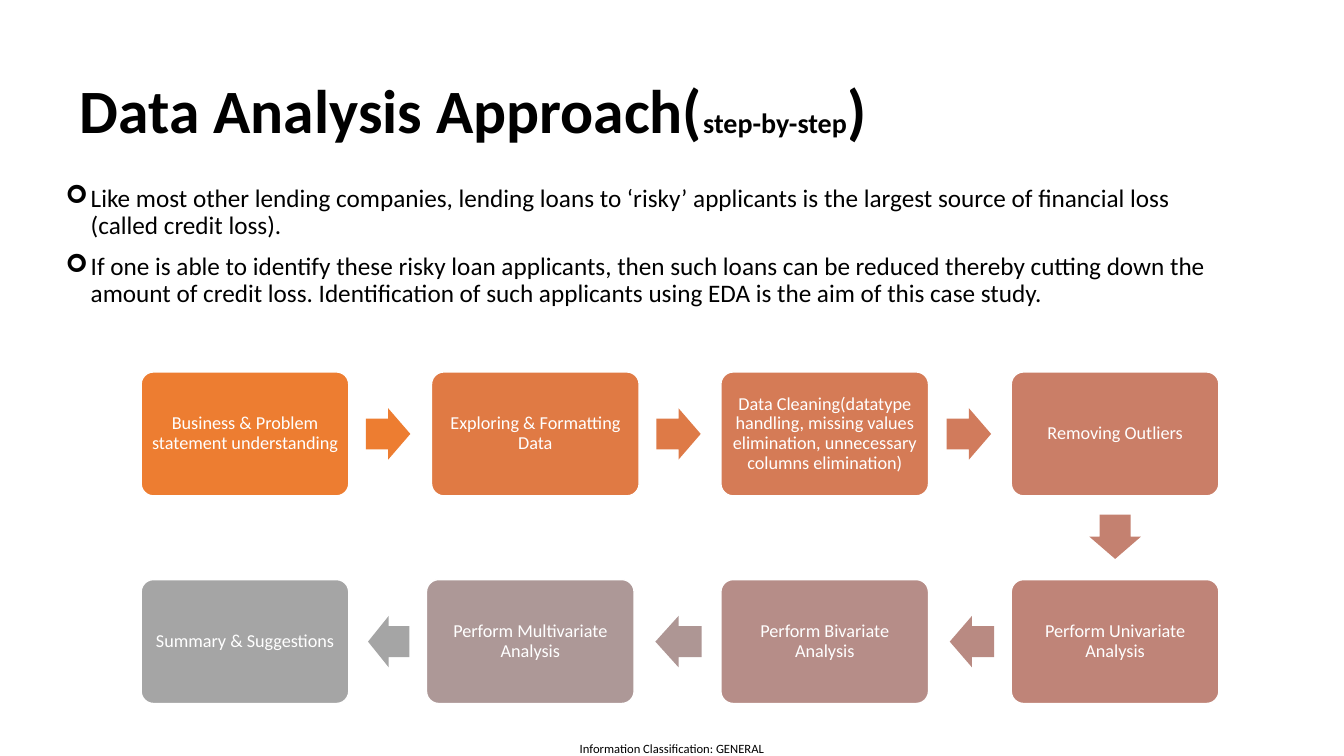
from lxml import etree
from pptx import Presentation
from pptx.dml.color import RGBColor
from pptx.enum.shapes import MSO_SHAPE
from pptx.enum.text import MSO_ANCHOR, MSO_AUTO_SIZE, PP_ALIGN
from pptx.oxml.ns import qn
from pptx.util import Inches, Pt

ROUND = MSO_SHAPE.ROUNDED_RECTANGLE
ARROW = MSO_SHAPE.RIGHT_ARROW
MIDDLE = MSO_ANCHOR.MIDDLE
TOP = MSO_ANCHOR.TOP
LEFT = PP_ALIGN.LEFT
CENTER = PP_ALIGN.CENTER
FIXED = MSO_AUTO_SIZE.NONE
FONT = "Calibri"
COLORS = {"text": "000000", "white": "FFFFFF"}


def style(para, size, color, align):
    para.alignment = align
    para.font.name = FONT
    para.font.size = Pt(size)
    para.font.color.rgb = RGBColor.from_string(color)


def add_block(kind, left, top, width, height, color, adjust):
    block = slide.shapes.add_shape(
        kind, Inches(left), Inches(top), Inches(width), Inches(height))
    block.shadow.inherit = False
    block.fill.solid()
    block.fill.fore_color.rgb = RGBColor.from_string(color)
    for i, value in enumerate(adjust):
        block.adjustments[i] = value
    return block


prs = Presentation()
prs.slide_width = Inches(13.33)
prs.slide_height = Inches(7.5)
slide = prs.slides.add_slide(prs.slide_layouts[1])

title = slide.shapes.title
title.left, title.top = Inches(0.69), Inches(0.4)
title.width, title.height = Inches(11.73), Inches(1.45)
frame = title.text_frame
frame.auto_size = FIXED
frame.vertical_anchor = MIDDLE
para = frame.paragraphs[0]
para.line_spacing = 0.9
style(para, 44, COLORS["text"], LEFT)
para.font.bold = True
for text, size in [("Data Analysis Approach(", 44), ("step-by-step", 20), (")", 44)]:
    run = para.add_run()
    run.text = text
    run.font.size = Pt(size)

points = [
    "Like most other lending companies, lending loans to ‘risky’ applicants is the "
    "largest source of financial loss (called credit loss).",
    "If one is able to identify these risky loan applicants, then such loans can be "
    "reduced thereby cutting down the amount of credit loss. Identification of such "
    "applicants using EDA is the aim of this case study.",
]
body = slide.placeholders[1]
body.left, body.top = Inches(0.55), Inches(1.79)
body.width, body.height = Inches(11.86), Inches(5.31)
frame = body.text_frame
frame.auto_size = FIXED
frame.vertical_anchor = TOP
frame.text = "\n".join(points)
for para in frame.paragraphs:
    props = para._p.get_or_add_pPr()
    props.set("marL", str(Inches(0.25)))
    props.set("indent", str(-Inches(0.25)))
    etree.SubElement(props, qn("a:buFont")).set("typeface", "Wingdings")
    etree.SubElement(props, qn("a:buChar")).set("char", "➢")
    para.line_spacing = 0.9
    para.space_before = Pt(10)
    style(para, 18, COLORS["text"], LEFT)

UPPER, LOWER = 3.69, 5.75
steps = [
    ("Business & Problem statement understanding", 1.4, UPPER, "ED7D31"),
    ("Exploring & Formatting Data", 4.28, UPPER, "E07A44"),
    ("Data Cleaning(datatype handling, missing values elimination, "
     "unnecessary columns elimination)", 7.15, UPPER, "D57B56"),
    ("Removing Outliers", 10.03, UPPER, "CA7E67"),
    ("Perform Univariate Analysis", 10.03, LOWER, "BF8478"),
    ("Perform Bivariate Analysis", 7.15, LOWER, "B68D88"),
    ("Perform Multivariate Analysis", 4.23, LOWER, "AD9897"),
    ("Summary & Suggestions", 1.4, LOWER, "A5A5A5"),
]
for text, left, top, color in steps:
    box = add_block(ROUND, left, top, 2.06, 1.23, color, [0.1])
    box.line.color.rgb = RGBColor.from_string(COLORS["white"])
    box.line.width = Pt(1)
    frame = box.text_frame
    frame.word_wrap = True
    frame.vertical_anchor = MIDDLE
    frame.margin_left = frame.margin_right = Inches(0.07)
    frame.margin_top = frame.margin_bottom = Inches(0.07)
    frame.text = text
    para = frame.paragraphs[0]
    para.line_spacing = 0.9
    style(para, 13, COLORS["white"], CENTER)

arrows = [
    (3.63, 4.05, 0.44, 0, "ED7D31"),
    (6.51, 4.05, 0.44, 0, "DE7A47"),
    (9.39, 4.05, 0.44, 0, "D17B5C"),
    (10.84, 5.07, 0.44, 90, "C48170"),
    (9.42, 6.11, 0.44, 180, "B98A82"),
    (6.5, 6.11, 0.46, 180, "AE9694"),
    (3.65, 6.11, 0.41, 180, "A5A5A5"),
]
for left, top, width, turn, color in arrows:
    arrow = add_block(ARROW, left, top, width, 0.51, color, [0.6, 0.5])
    arrow.line.fill.background()
    arrow.rotation = turn

label = slide.shapes.add_textbox(Inches(5.75), Inches(7.35), Inches(1.86), Inches(0.15))
frame = label.text_frame
frame.margin_left = frame.margin_right = 0
frame.margin_top = frame.margin_bottom = 0
frame.text = "Information Classification: GENERAL"
style(frame.paragraphs[0], 9, COLORS["text"], LEFT)

prs.save("out.pptx")
